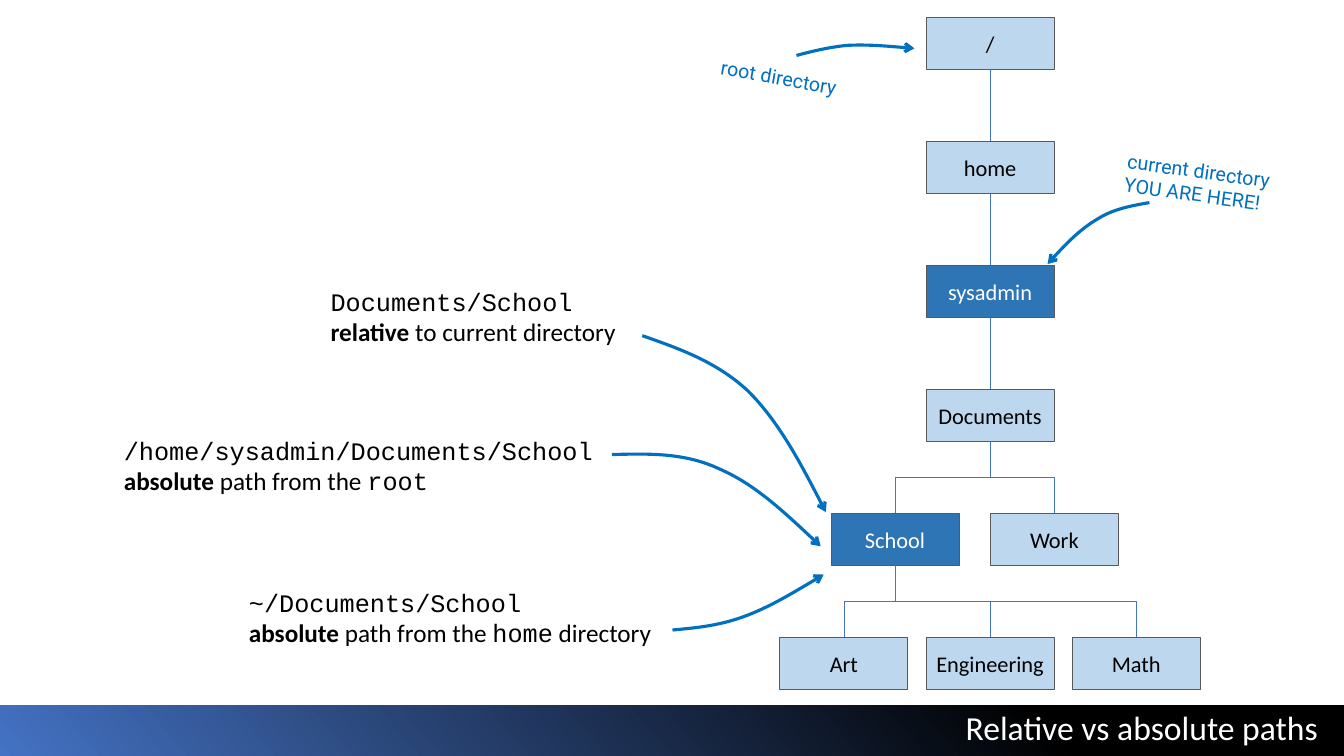
"""Build a slide that sets relative against absolute paths in a directory tree."""
from lxml import etree
from pptx import Presentation
from pptx import util as u
from pptx.dml.color import RGBColor
from pptx.enum import shapes, text
from pptx.oxml.ns import qn

CELL = u.Inches(1)
COLUMNS, ROWS = 13.33, 7.5
TRUNK, TREE_TOP = 9.82, 0.17
TREE_COLUMN, TREE_ROW = 1.45, 1.23
NODE_WIDTH, NODE_HEIGHT = 1.27, 0.52
COLORS = {
    "black": "000000", "white": "FFFFFF", "note": "0070C0", "bar": "4472C4",
    "node": "BDD7EE", "marked": "2E75B6", "edge": "595959", "branch": "4472C4",
}
DIRECTORIES = [
    ("/", None, 0, 0), ("home", "/", 0, 1), ("sysadmin", "home", 0, 2),
    ("Documents", "sysadmin", 0, 3),
    ("School", "Documents", -0.65, 4), ("Work", "Documents", 0.44, 4),
    ("Art", "School", -1, 5), ("Engineering", "School", 0, 5), ("Math", "School", 1, 5),
]
MARKED = {"sysadmin", "School"}
CODE = {"font": "Courier New"}
BOLD = {"bold": True}
PATHS = [
    (3.18, 2.79, [[("Documents/School", CODE)],
                  [("relative", BOLD), (" to current directory", {})]]),
    (1.13, 4.27, [[("/home/sysadmin/Documents/School", CODE)],
                  [("absolute", BOLD), (" path from the ", {}), ("root", CODE)]]),
    (2.37, 5.78, [[("~/Documents/School", CODE)],
                  [("absolute", BOLD), (" path from the ", {}), ("home", CODE),
                   (" directory", {})]]),
]
NOTES = [
    (11.06, 1.57, 0.57, 8, ["current directory", "YOU ARE HERE!"]),
    (7.04, 0.68, 0.34, 10, ["root directory"]),
]
ARROWS = [
    [(11.4, 2.01), (11.23, 2.04), (11.05, 2.07), (10.89, 2.17),
     (10.72, 2.27), (10.55, 2.44), (10.39, 2.62)],
    [(6.37, 3.33), (6.74, 3.46), (7.11, 3.59), (7.42, 3.88),
     (7.72, 4.18), (7.96, 4.63), (8.19, 5.08)],
    [(6.67, 6.25), (6.89, 6.23), (7.12, 6.21), (7.37, 6.12),
     (7.62, 6.03), (7.9, 5.86), (8.17, 5.7)],
    [(6.07, 4.51), (6.43, 4.5), (6.79, 4.49), (7.13, 4.65),
     (7.48, 4.8), (7.81, 5.11), (8.14, 5.42)],
    [(7.9, 0.55), (8.05, 0.51), (8.21, 0.47), (8.4, 0.45),
     (8.6, 0.44), (8.83, 0.46), (9.07, 0.48)],
]


def cells(*counts):
    """Turn counts of grid cells into lengths."""
    return [u.Emu(round(count * CELL)) for count in counts]


def rgb(name):
    """Look up a named colour."""
    return RGBColor.from_string(COLORS[name])


def add_span(para, words, font="Calibri", size=18, color="black", bold=False):
    """Append formatted words to a paragraph."""
    span = para.add_run()
    span.text = words
    span.font.name, span.font.size, span.font.bold = font, u.Pt(size), bold
    span.font.color.rgb = rgb(color)


def write(box, lines, align=text.PP_ALIGN.LEFT, **form):
    """Fill a box with paragraphs made of (words, format) spans."""
    frame = box.text_frame
    for index, line in enumerate(lines):
        para = frame.add_paragraph() if index else frame.paragraphs[0]
        para.alignment = align
        for words, own in line:
            add_span(para, words, **{**form, **own})


def add_label(page, left, top, width, height, lines, turn=0, **form):
    """Add a wrapping text box, turned if asked."""
    box = page.shapes.add_textbox(*cells(left, top, width, height))
    box.text_frame.word_wrap = True
    box.rotation = turn
    write(box, lines, **form)


def add_bar(page, title):
    """Add the gradient bar behind the title."""
    bar = page.shapes.add_shape(
        shapes.MSO_SHAPE.RECTANGLE, *cells(0, ROWS - 0.5, COLUMNS, 0.5))
    bar.shadow.inherit = False
    bar.line.fill.background()
    bar.fill.gradient()
    bar.fill.gradient_angle = 320
    for stop, color, position in zip(bar.fill.gradient_stops, ("bar", "black"), (0, 0.78)):
        stop.color.rgb, stop.position = rgb(color), position
    bar.rotation = 180
    bar.element.spPr.find(qn("a:xfrm")).set("flipH", "1")
    title.element.addprevious(bar.element)


def set_title(title, words):
    """Place and format the title."""
    title.left, title.top, title.width, title.height = cells(9.43, 6.96, 3.74, 0.5)
    frame = title.text_frame
    frame.word_wrap = False
    frame.auto_size = text.MSO_AUTO_SIZE.SHAPE_TO_FIT_TEXT
    frame.vertical_anchor = text.MSO_ANCHOR.MIDDLE
    write(title, [[(words, {})]], align=text.PP_ALIGN.RIGHT, size=24, color="white")


def add_node(page, name, column, row):
    """Add a directory to the tree."""
    left = TRUNK + column * TREE_COLUMN - NODE_WIDTH / 2
    top = TREE_TOP + row * TREE_ROW
    node = page.shapes.add_shape(
        shapes.MSO_SHAPE.RECTANGLE, *cells(left, top, NODE_WIDTH, NODE_HEIGHT))
    node.shadow.inherit = False
    node.fill.solid()
    node.fill.fore_color.rgb = rgb("marked" if name in MARKED else "node")
    node.line.color.rgb, node.line.width = rgb("edge"), u.Pt(0.75)
    frame = node.text_frame
    frame.margin_left = frame.margin_right = u.Inches(0.05)
    frame.vertical_anchor = text.MSO_ANCHOR.MIDDLE
    write(node, [[(name, {})]], align=text.PP_ALIGN.CENTER, size=16,
          color="white" if name in MARKED else "black")
    return node


def add_branch(page, parent, child):
    """Join the bottom of a parent to the top of its child."""
    start, end = parent.left + parent.width // 2, child.left + child.width // 2
    top, drop = parent.top + parent.height, child.top - parent.top - parent.height
    shift = end - start
    kind = shapes.MSO_CONNECTOR.ELBOW if shift else shapes.MSO_CONNECTOR.STRAIGHT
    branch = page.shapes.add_connector(kind, start, top, end, child.top)
    branch.begin_connect(parent, 2)
    branch.end_connect(child, 0)
    branch.line.color.rgb, branch.line.width = rgb("branch"), u.Pt(0.5)
    properties = branch.element.spPr
    etree.SubElement(properties, qn("a:effectLst"))
    if shift:
        frame = properties.find(qn("a:xfrm"))
        frame.attrib.clear()
        frame.set("rot", "5400000")
        if shift > 0:
            frame.set("flipV", "1")
        branch.left = (start + end - drop) // 2
        branch.top = top + (drop - abs(shift)) // 2
        branch.width, branch.height = drop, abs(shift)


def add_arrow(page, points):
    """Draw a smooth arrow through Bézier points."""
    first, *rest = [tuple(cells(*point)) for point in points]
    builder = page.shapes.build_freeform(*first)
    builder.add_line_segments(rest, close=False)
    arrow = builder.convert_to_shape()
    arrow.shadow.inherit = False
    arrow.fill.background()
    arrow.line.color.rgb, arrow.line.width = rgb("note"), u.Pt(2.25)
    etree.SubElement(arrow.line._get_or_add_ln(), qn("a:tailEnd"), type="arrow")
    segments = list(arrow.element.iter(qn("a:lnTo")))
    outline = segments[0].getparent()
    for index, segment in enumerate(segments):
        if index % 3 == 0:
            curve = etree.SubElement(outline, qn("a:cubicBezTo"))
        curve.append(segment[0])
        outline.remove(segment)


def main():
    """Build and save the deck."""
    deck = Presentation()
    deck.slide_width, deck.slide_height = cells(COLUMNS, ROWS)
    page = deck.slides.add_slide(deck.slide_layouts[5])
    title = page.shapes.title
    add_bar(page, title)
    set_title(title, "Relative vs absolute paths")
    for left, top, lines in PATHS:
        add_label(page, left, top, 5.69, 0.93, lines)
    for left, top, height, turn, lines in NOTES:
        add_label(page, left, top, 2.26, height, [[(line, {})] for line in lines],
                  turn=turn, font="Roboto", size=14, color="note")
    nodes = {}
    for name, parent, column, row in DIRECTORIES:
        nodes[name] = add_node(page, name, column, row)
        if parent:
            add_branch(page, nodes[parent], nodes[name])
    for points in ARROWS:
        add_arrow(page, points)
    deck.save("out.pptx")


if __name__ == "__main__":
    main()
